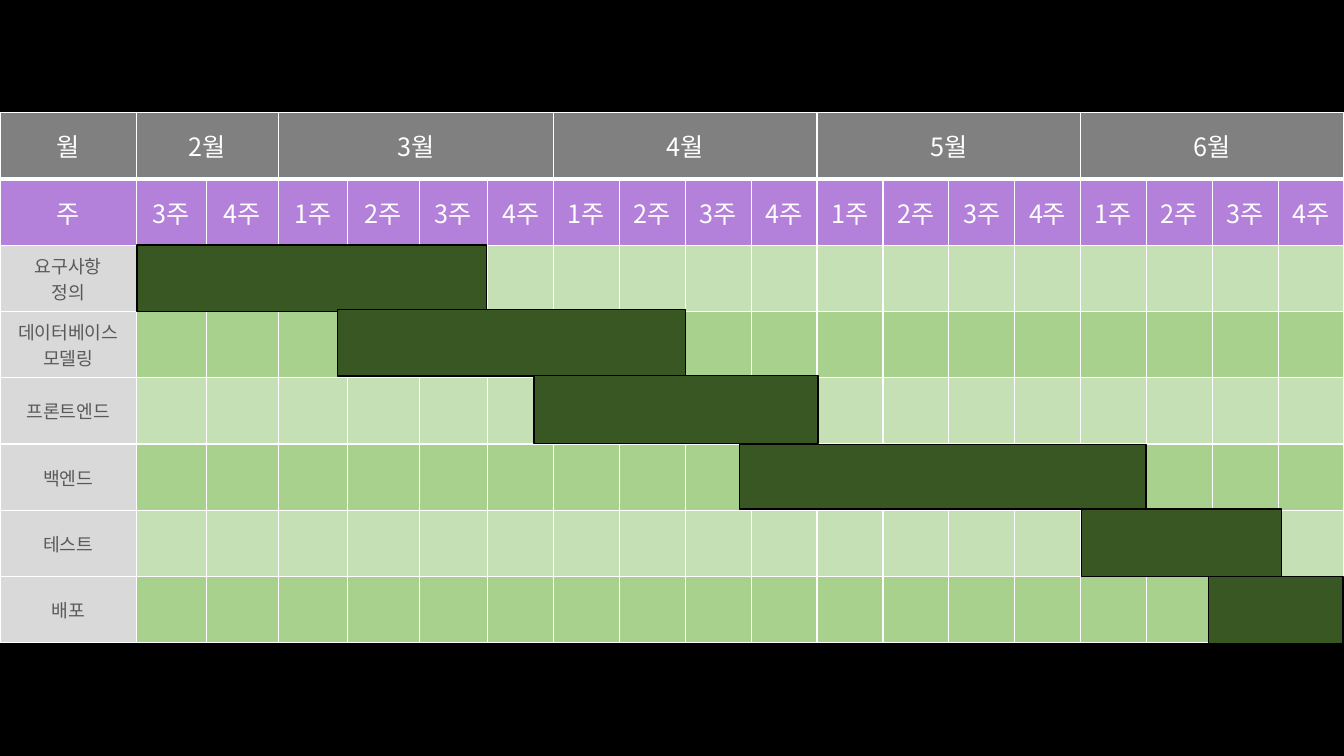
from lxml import etree
from pptx import Presentation
from pptx.dml.color import RGBColor
from pptx.enum.shapes import MSO_SHAPE
from pptx.enum.text import MSO_ANCHOR, PP_ALIGN
from pptx.oxml.ns import qn
from pptx.util import Cm, Pt

RECT = MSO_SHAPE.RECTANGLE
MIDDLE = MSO_ANCHOR.MIDDLE
CENTER = PP_ALIGN.CENTER
FONT = "Noto Sans CJK KR"
COLORS = {
    "background": "000000",
    "border": "FFFFFF",
    "month": "808080",
    "week": "B381D9",
    "header_text": "FFFFFF",
    "task": "D9D9D9",
    "task_text": "595959",
    "light": "C5E0B4",
    "dark": "A9D18E",
    "bar": "385723",
    "bar_line": "000000",
}
TABLE_TOP = 2.84
ROW_HEIGHT = 1.67
COL_WIDTHS = [3.43, 1.78, 1.8, 1.74, 1.82, 1.72] + [1.66] * 13
MONTHS = [("2월", (3, 4))] + [(f"{m}월", (1, 2, 3, 4)) for m in range(3, 7)]
TASKS = [
    ("요구사항\n정의", (3.45, 6.17, 8.81, 1.68)),
    ("데이터베이스모델링", (8.51, 7.8, 8.76, 1.68)),
    ("프론트엔드", (13.46, 9.47, 7.16, 1.7)),
    ("백엔드", (18.64, 11.2, 10.24, 1.63)),
    ("테스트", (27.25, 12.83, 5.05, 1.7)),
    ("배포", (30.45, 14.53, 3.4, 1.68)),
]


def rgb(name):
    return RGBColor.from_string(COLORS[name])


def set_borders(cell, bottom):
    tc_pr = cell._tc.get_or_add_tcPr()
    sides = (("lnL", 1), ("lnR", 1), ("lnT", 1), ("lnB", bottom))
    for i, (side, width) in enumerate(sides):
        ln = etree.Element(qn(f"a:{side}"), w=str(Pt(width)))
        fill = etree.SubElement(ln, qn("a:solidFill"))
        etree.SubElement(fill, qn("a:srgbClr"), val=COLORS["border"])
        tc_pr.insert(i, ln)


def style_cell(cell, fill, bottom=1):
    cell.fill.solid()
    cell.fill.fore_color.rgb = rgb(fill)
    set_borders(cell, bottom)


def write_cell(cell, text, size, color):
    cell.vertical_anchor = MIDDLE
    tf = cell.text_frame
    tf.text = text
    for p in tf.paragraphs:
        p.alignment = CENTER
        p.font.size = Pt(size)
        p.font.color.rgb = rgb(color)
        p.font.name = FONT
        def_rpr = p._p.pPr.find(qn("a:defRPr"))
        etree.SubElement(def_rpr, qn("a:ea"), typeface=FONT)


def add_schedule(s):
    rows, cols = len(TASKS) + 2, len(COL_WIDTHS)
    frame = s.shapes.add_table(rows, cols, 0, Cm(TABLE_TOP),
                               Cm(sum(COL_WIDTHS)), Cm(ROW_HEIGHT * rows))
    table = frame.table
    table.first_row = table.horz_banding = False
    for col, width in zip(table.columns, COL_WIDTHS):
        col.width = Cm(width)
    for row in table.rows:
        row.height = Cm(ROW_HEIGHT)
    for c in range(cols):
        style_cell(table.cell(0, c), "month", bottom=3)
        style_cell(table.cell(1, c), "week")
        for r in range(2, rows):
            band = "dark" if r % 2 else "light"
            style_cell(table.cell(r, c), band if c else "task")
    return table


def fill_headers(table):
    write_cell(table.cell(0, 0), "월", 18, "header_text")
    write_cell(table.cell(1, 0), "주", 18, "header_text")
    col = 1
    for month, weeks in MONTHS:
        last = col + len(weeks) - 1
        table.cell(0, col).merge(table.cell(0, last))
        write_cell(table.cell(0, col), month, 18, "header_text")
        for c, week in enumerate(weeks, col):
            write_cell(table.cell(1, c), f"{week}주", 18, "header_text")
        col = last + 1


def add_bar(s, box):
    sp = s.shapes.add_shape(RECT, *map(Cm, box))
    sp.shadow.inherit = False
    sp.fill.solid()
    sp.fill.fore_color.rgb = rgb("bar")
    sp.line.color.rgb = rgb("bar_line")
    sp.line.width = Pt(1)


def main():
    prs = Presentation()
    prs.slide_width, prs.slide_height = Cm(33.87), Cm(19.05)
    s = prs.slides.add_slide(prs.slide_layouts[6])
    s.background.fill.solid()
    s.background.fill.fore_color.rgb = rgb("background")
    table = add_schedule(s)
    fill_headers(table)
    for row, (task, box) in enumerate(TASKS, 2):
        write_cell(table.cell(row, 0), task, 13, "task_text")
        add_bar(s, box)
    prs.save("out.pptx")


if __name__ == "__main__":
    main()
